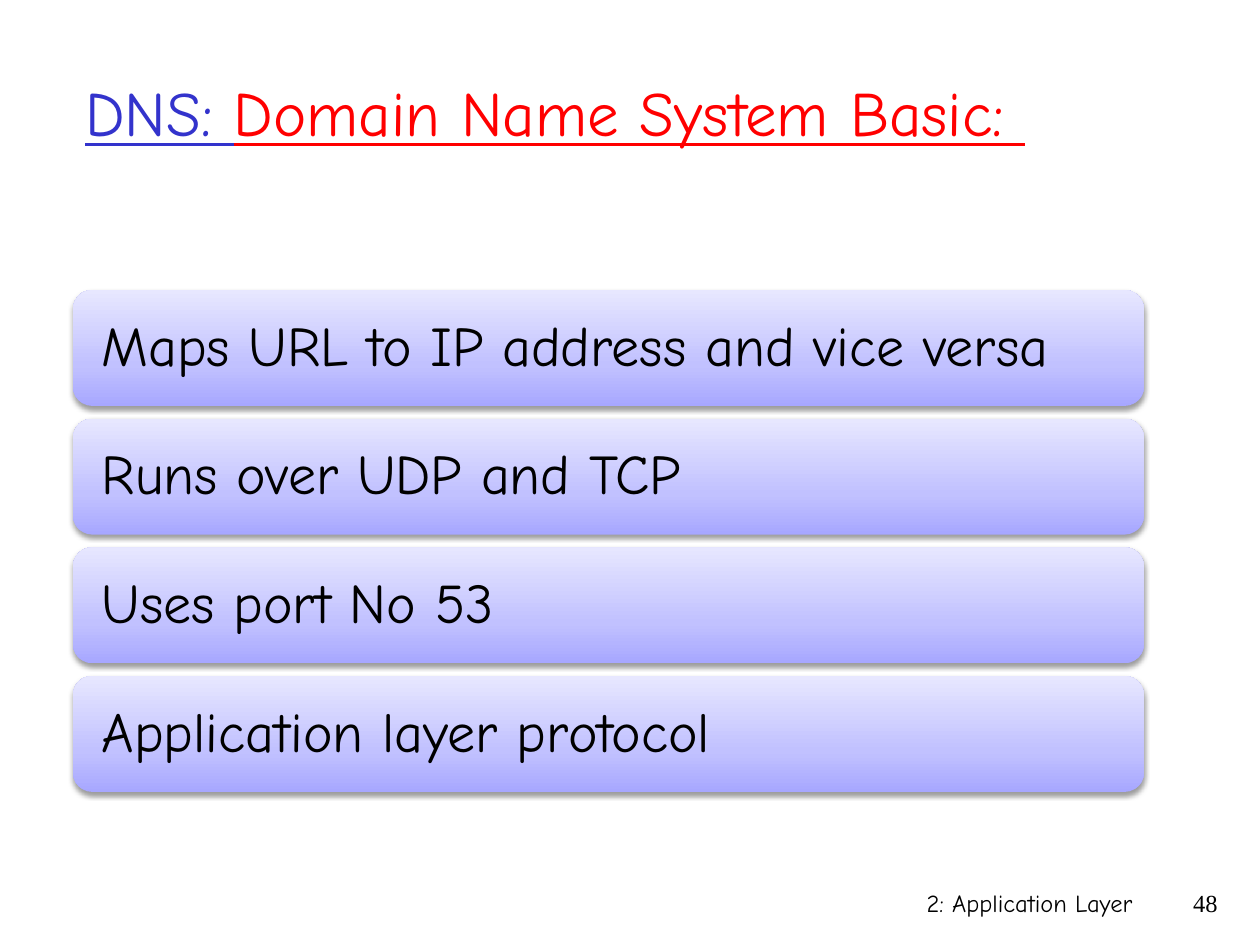
from lxml import etree
from pptx import Presentation
from pptx.dml.color import RGBColor
from pptx.enum.shapes import MSO_SHAPE
from pptx.enum.text import MSO_ANCHOR, PP_ALIGN
from pptx.oxml.ns import qn
from pptx.util import Pt

ROUND = MSO_SHAPE.ROUNDED_RECTANGLE
TOP, MID = MSO_ANCHOR.TOP, MSO_ANCHOR.MIDDLE
LEFT, RIGHT = PP_ALIGN.LEFT, PP_ALIGN.RIGHT
COMIC, TIMES = "Comic Neue", "Times New Roman"
BLACK = "000000"

TITLE = [("DNS: ", "3333CC"), ("Domain Name System Basic: ", "FF0000")]
CARDS = [
    "Maps URL to IP address and vice versa",
    "Runs over UDP and TCP",
    "Uses port No 53",
    "Application layer protocol",
]
FOOT = [
    ("2: Application Layer", COMIC, (746, 882, 399, 63)),
    ("48", TIMES, (1144, 882, 86, 63)),
]
STOPS = [(0, "A7A7FF"), (35, "C1C1FF"), (100, "E7E7FF")]

SIDE, WIDE = 73, 1071
FIRST, LAST, HIGH = 290, 676, 116
INSET = 23


def px(n):
    return round(n * 914400 / 126)


def color(code):
    return RGBColor.from_string(code)


def write(shape, runs, size, face, anchor=TOP, align=LEFT, under=None):
    frame = shape.text_frame
    frame.word_wrap = True
    frame.vertical_anchor = anchor
    para = frame.paragraphs[0]
    para.alignment = align
    for text, code in runs:
        run = para.add_run()
        run.text = text
        font = run.font
        font.size, font.name, font.underline = Pt(size), face, under
        font.color.rgb = color(code)
    return frame


def node(parent, tag, **attrs):
    return etree.SubElement(parent, qn("a:" + tag), attrs)


def shade(shape):
    shape.fill.gradient()
    shape.fill.gradient_angle = 90
    props = shape.element.spPr
    stops = props.find(".//" + qn("a:gsLst"))
    for old in list(stops):
        stops.remove(old)
    for pos, code in STOPS:
        stop = node(stops, "gs", pos=str(pos * 1000))
        node(stop, "srgbClr", val=code)
    shape.line.fill.background()
    shape.shadow.inherit = False
    glow = node(props.find(qn("a:effectLst")), "outerShdw",
                blurRad=str(Pt(3.1)), dist=str(Pt(1.6)),
                dir="5400000", rotWithShape="0")
    node(node(glow, "srgbClr", val=BLACK), "alpha", val="38000")


def main():
    deck = Presentation()
    deck.slide_width, deck.slide_height = px(1260), px(945)
    slide = deck.slides.add_slide(deck.slide_layouts[6])
    shapes = slide.shapes

    title = shapes.add_textbox(*map(px, (SIDE, 32, WIDE, 158)))
    write(title, TITLE, 36, COMIC, MID, under=True)

    step = (LAST - FIRST) / (len(CARDS) - 1)
    for i, text in enumerate(CARDS):
        spot = (SIDE, FIRST + i * step, WIDE, HIGH)
        card = shapes.add_shape(ROUND, *map(px, spot))
        shade(card)
        frame = write(card, [(text, BLACK)], 32, COMIC, MID)
        frame.margin_left = frame.margin_right = px(INSET)
        frame.paragraphs[0].line_spacing = 0.9

    for text, face, spot in FOOT:
        box = shapes.add_textbox(*map(px, spot))
        write(box, [(text, BLACK)], 14, face, align=RIGHT)

    deck.save("out.pptx")


if __name__ == "__main__":
    main()
